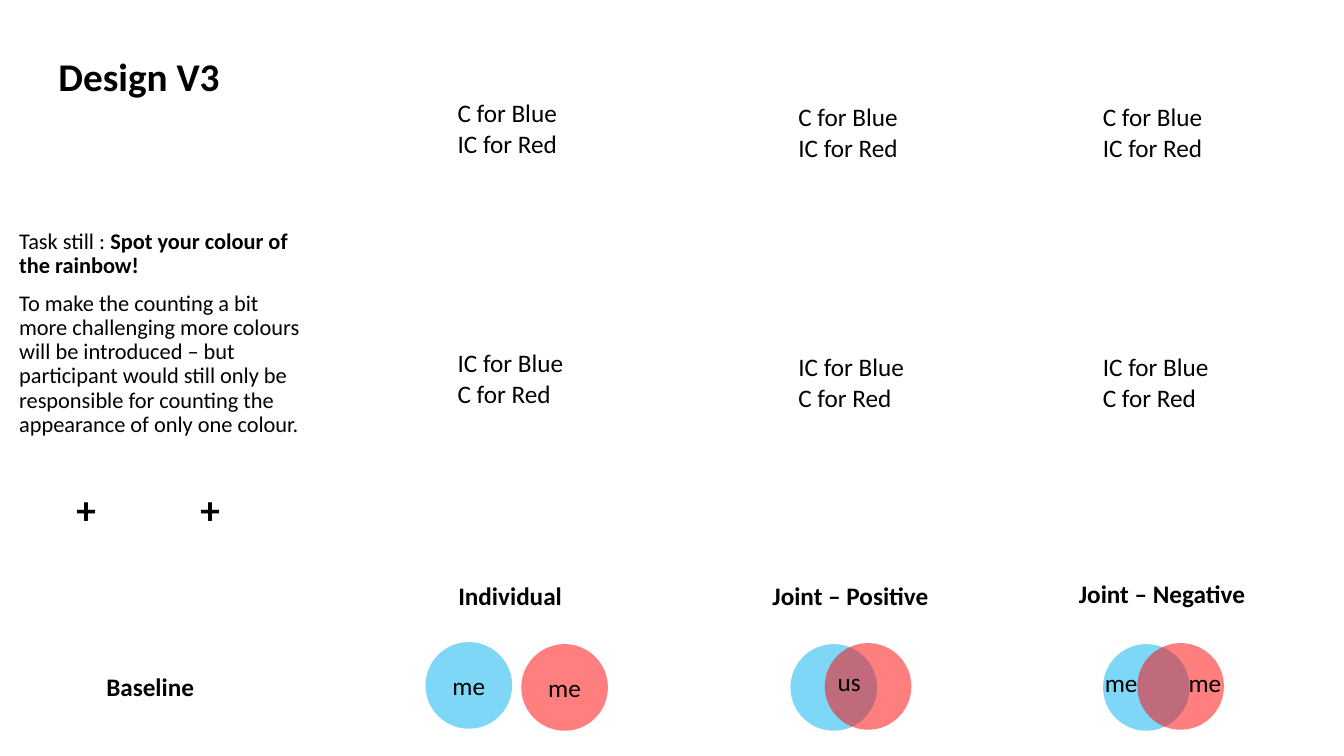
from dataclasses import dataclass

from lxml import etree
from pptx import Presentation
from pptx import util as u
from pptx.dml.color import RGBColor
from pptx.enum import shapes, text
from pptx.oxml.ns import qn

FONT = "Calibri"
BLACK = "000000"
BLUE = "00B0F0"
RED = "FF0000"
DIAMETER = 0.86
LEFT = text.PP_ALIGN.LEFT
CENTER = text.PP_ALIGN.CENTER
TOP = text.MSO_ANCHOR.TOP
MIDDLE = text.MSO_ANCHOR.MIDDLE


@dataclass
class Label:
    words: str
    left: float
    top: float
    width: float
    height: float = 0.4
    size: float = 18
    bold: bool = False
    align: text.PP_ALIGN = LEFT
    wrap: bool = False


@dataclass
class Circle:
    left: float
    top: float
    colour: str
    words: str = ""


@dataclass
class Condition:
    left: float
    top: float


CONDITIONS = [Condition(4.44, 0.92), Condition(7.82, 0.96), Condition(10.84, 0.96)]
RULES = [("C for Blue\nIC for Red", 1.2), ("IC for Blue\nC for Red", 1.26)]
RULE_STEP = 2.48

HEADINGS = [
    Label("Individual", 4.44, 5.71, 1.24, bold=True, align=CENTER),
    Label("Baseline", 0.95, 6.61, 1.08, bold=True, align=CENTER),
    Label("Joint – Positive", 7.52, 5.71, 1.83, bold=True, align=CENTER),
    Label("Joint – Negative", 10.54, 5.69, 1.97, bold=True, align=CENTER, wrap=True),
]
CIRCLES = [
    Circle(4.22, 6.37, BLUE, "me"),
    Circle(5.17, 6.39, RED, "me"),
    Circle(7.84, 6.39, BLUE),
    Circle(8.18, 6.38, RED),
    Circle(10.94, 6.39, BLUE),
    Circle(11.28, 6.38, RED),
]
OVERLAP_LABELS = [
    Label("us", 8.21, 6.56, 0.44, wrap=True),
    Label("me", 10.86, 6.57, 0.54, wrap=True),
    Label("me", 11.69, 6.57, 0.54, wrap=True),
]
FIXATIONS = [Label("+", left, 4.77, 0.4, 0.57, 28, True) for left in (0.66, 1.89)]
RULE_LABELS = [
    Label(words, condition.left, condition.top + row * RULE_STEP, width, 0.71)
    for condition in CONDITIONS
    for row, (words, width) in enumerate(RULES)
]


def rgb(colour: str) -> RGBColor:
    return RGBColor.from_string(colour)


def write(paragraph, words: str, *, size: float = 18, bold: bool = False,
          align: text.PP_ALIGN = LEFT, colour: str = BLACK) -> None:
    paragraph.alignment = align
    for index, line in enumerate(words.split("\n")):
        if index:
            paragraph.add_line_break()
        run = paragraph.add_run()
        run.text = line
        run.font.name = FONT
        run.font.size = u.Pt(size)
        run.font.bold = bold
        run.font.color.rgb = rgb(colour)


def place(holder, left: float, top: float, width: float, height: float,
          anchor: text.MSO_ANCHOR):
    holder.left, holder.top = u.Inches(left), u.Inches(top)
    holder.width, holder.height = u.Inches(width), u.Inches(height)
    frame = holder.text_frame
    frame.word_wrap = True
    frame.auto_size = text.MSO_AUTO_SIZE.NONE
    frame.vertical_anchor = anchor
    return frame


def remove_bullet(paragraph) -> None:
    properties = paragraph._p.get_or_add_pPr()
    properties.set("marL", "0")
    properties.set("indent", "0")
    etree.SubElement(properties, qn("a:buNone"))


def add_label(slide, label: Label) -> None:
    box = slide.shapes.add_textbox(u.Inches(label.left), u.Inches(label.top),
                                   u.Inches(label.width), u.Inches(label.height))
    frame = box.text_frame
    frame.word_wrap = label.wrap
    frame.auto_size = text.MSO_AUTO_SIZE.SHAPE_TO_FIT_TEXT
    write(frame.paragraphs[0], label.words, size=label.size,
          bold=label.bold, align=label.align)


def add_circle(slide, circle: Circle) -> None:
    disc = slide.shapes.add_shape(shapes.MSO_SHAPE.OVAL, u.Inches(circle.left),
                                  u.Inches(circle.top), u.Inches(DIAMETER),
                                  u.Inches(DIAMETER))
    disc.shadow.inherit = False
    disc.line.fill.background()
    disc.fill.solid()
    disc.fill.fore_color.rgb = rgb(circle.colour)
    shade = disc._element.spPr.find(qn("a:solidFill"))[0]
    etree.SubElement(shade, qn("a:alpha"), val="50000")
    if circle.words:
        disc.text_frame.vertical_anchor = MIDDLE
        write(disc.text_frame.paragraphs[0], circle.words, align=CENTER)


def add_task(slide) -> None:
    frame = place(slide.placeholders[1], 0.09, 2.23, 3.08, 2.34, TOP)
    task, challenge = frame.paragraphs[0], frame.add_paragraph()
    for paragraph, gap in ((task, 0), (challenge, 10)):
        remove_bullet(paragraph)
        paragraph.line_spacing = 0.9
        paragraph.space_before = u.Pt(gap)
    write(task, "Task still : ", size=16)
    write(task, "Spot your colour of the rainbow!", size=16, bold=True)
    write(challenge, "To make the counting a bit more challenging more colours will be "
          "introduced – but participant would still only be responsible for counting "
          "the appearance of only one colour.", size=16)


def main() -> None:
    deck = Presentation()
    deck.slide_width, deck.slide_height = u.Inches(13.33), u.Inches(7.5)
    slide = deck.slides.add_slide(deck.slide_layouts[1])
    title = place(slide.shapes.title, 0.48, 0.33, 1.92, 0.91, MIDDLE).paragraphs[0]
    title.line_spacing = 0.9
    write(title, "Design V3", size=28, bold=True)
    add_task(slide)
    for heading in HEADINGS:
        add_label(slide, heading)
    for circle in CIRCLES:
        add_circle(slide, circle)
    for label in OVERLAP_LABELS + FIXATIONS + RULE_LABELS:
        add_label(slide, label)
    deck.save("out.pptx")


if __name__ == "__main__":
    main()
